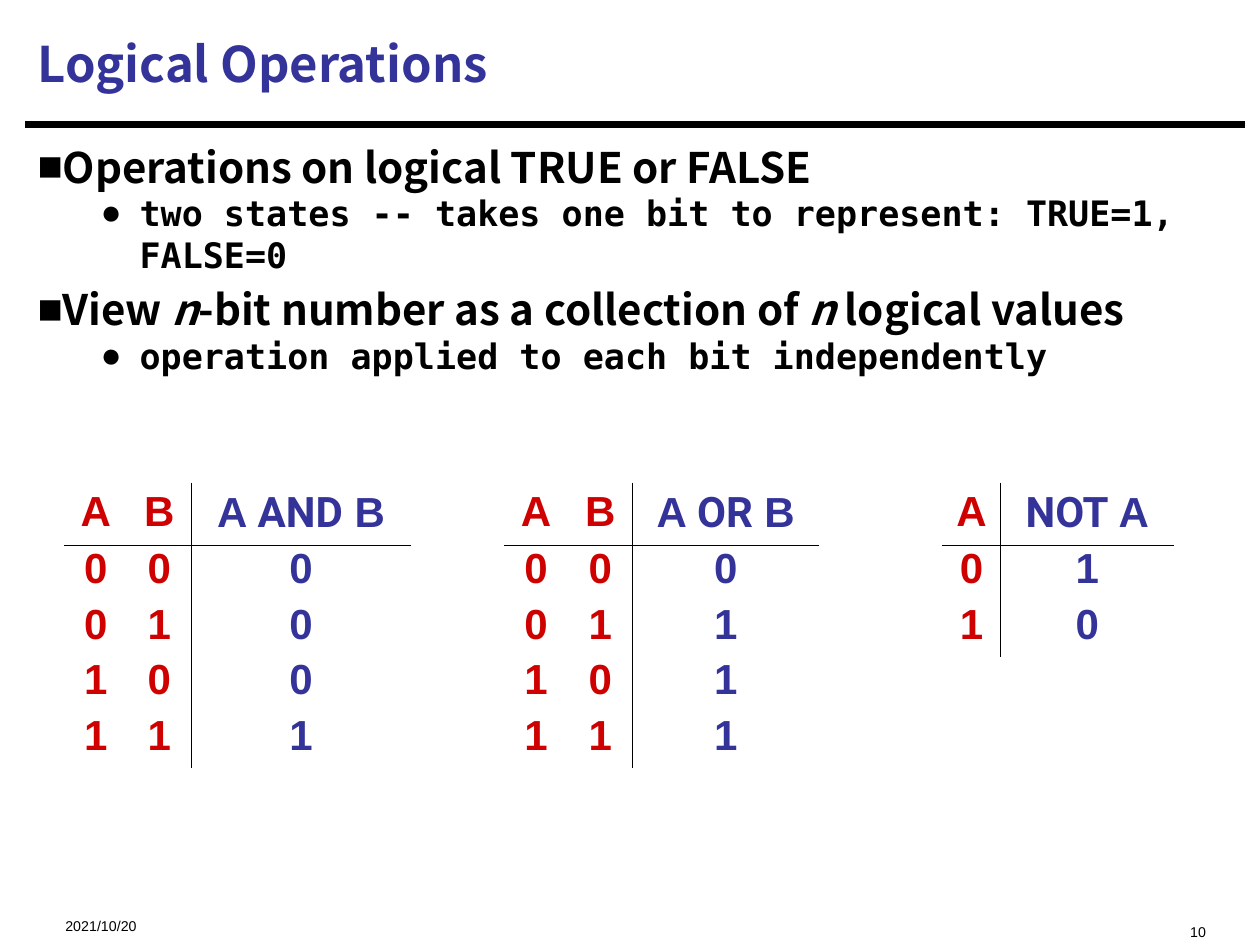
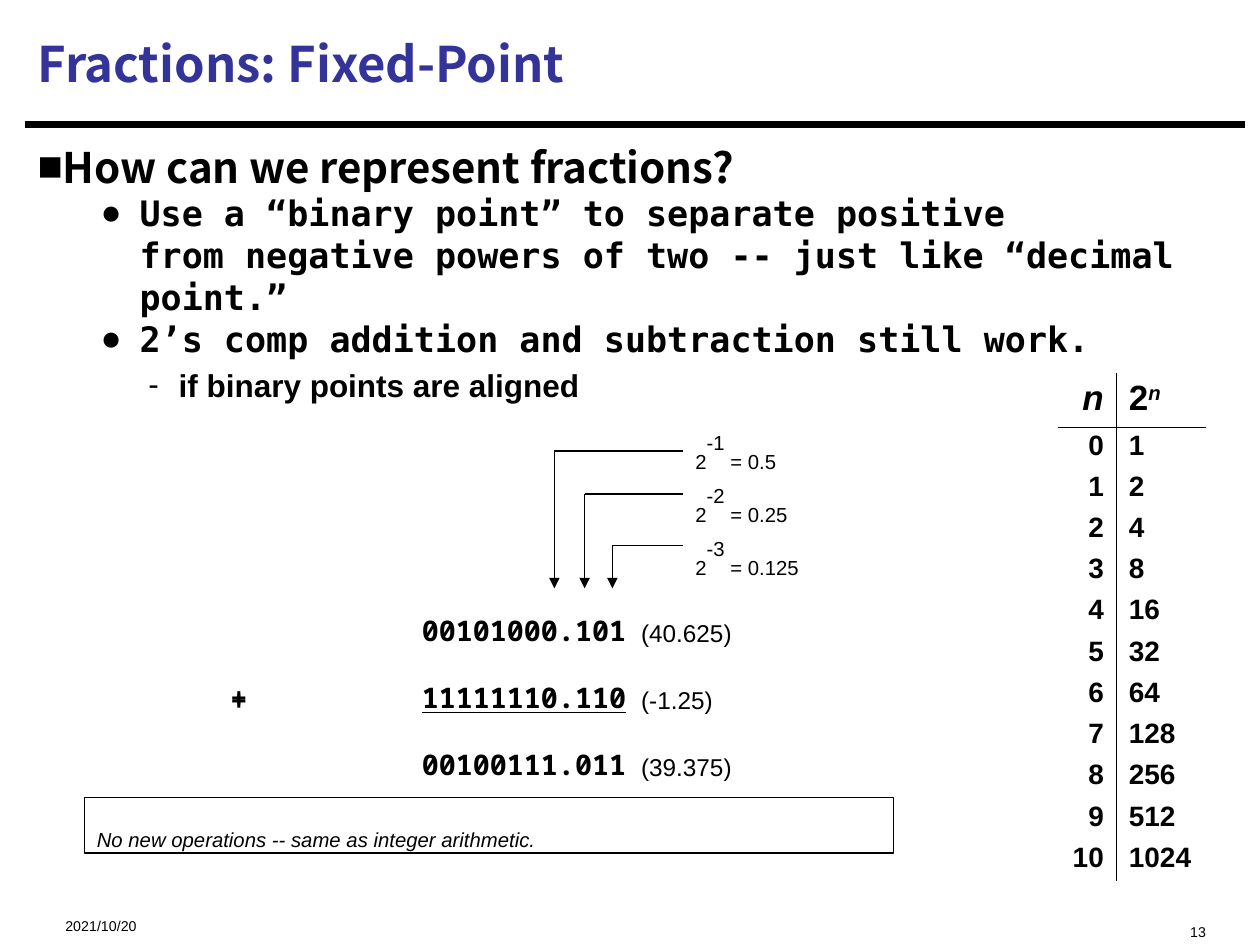
import lxml.etree
import pptx
import pptx.dml.color
import pptx.enum.shapes
import pptx.enum.text
import pptx.oxml.ns
import pptx.util

PX = 9144  # one px is a hundredth of an inch
qn = pptx.oxml.ns.qn
ALIGN = pptx.enum.text.PP_ALIGN
ANCHOR = pptx.enum.text.MSO_ANCHOR
STRAIGHT = pptx.enum.shapes.MSO_CONNECTOR.STRAIGHT

# Theme: colours and type styles; a negative baseline sets small, lowered text
BLACK, BLUE, RED = "000000", "333399", "CE0000"
LOWERED, RAISED = -25000, 30000
THEME = {
    "title": dict(name="Noto Sans CJK SC", size=28, bold=True, color=BLUE),
    "heading": dict(name="Noto Sans CJK SC", size=24, bold=True, color=BLACK),
    "point": dict(name="DejaVu Sans Mono", size=20, bold=True, color=BLACK),
    "detail": dict(name="Arial", size=18, bold=True, color=BLACK),
    "footer": dict(name="Arial", size=14, color=BLACK, baseline=LOWERED),
    "label": dict(name="Arial", size=20, color=BLACK, baseline=LOWERED),
    "digits": dict(name="Noto Sans Mono", size=28, bold=True, color=BLACK, baseline=LOWERED),
    "input": dict(name="Arial", size=24, bold=True, color=RED),
    "output": dict(name="Arial", size=24, bold=True, color=BLUE),
    "power": dict(name="Arial", size=16, bold=True, color=BLACK),
}
# Body levels: style, bullet, left margin, first-line indent, space before in points
LEVELS = [
    ("heading", "■", 0, 0, 4.8),
    ("point", "●", 81, -31, 0),
    ("detail", "-", 112, -24, 3.6),
]


def write(paragraph, runs, style):
    """Add runs, each a string or a (string, changed format values) pair."""
    for item in [runs] if isinstance(runs, str) else runs:
        text, changes = (item, {}) if isinstance(item, str) else item
        if text == "\n":
            paragraph.add_line_break()
            continue
        run = paragraph.add_run()
        run.text = text
        values = {**THEME[style], **changes}
        run.font.color.rgb = pptx.dml.color.RGBColor.from_string(values.pop("color"))
        if "baseline" in values:
            run.font._element.set("baseline", str(values.pop("baseline")))
        values["size"] = pptx.util.Pt(values["size"])
        for key, value in values.items():
            setattr(run.font, key, value)


def add_text(slide, box, runs, style, align=ALIGN.LEFT, anchor=ANCHOR.TOP, wrap=True):
    """Place a text box holding one written paragraph and return its frame."""
    frame = slide.shapes.add_textbox(*(length * PX for length in box)).text_frame
    frame.word_wrap = wrap
    frame.vertical_anchor = anchor
    frame.paragraphs[0].alignment = align
    write(frame.paragraphs[0], runs, style)
    return frame


presentation = pptx.Presentation()
presentation.slide_width, presentation.slide_height = 1000 * PX, 750 * PX

N = ("n", {"italic": True})
PAGES = [
    ("Logical Operations", "10", [
        (0, "Operations on logical TRUE or FALSE"),
        (1, "two states -- takes one bit to represent: TRUE=1, FALSE=0"),
        (0, ["View ", N, "-bit number as a collection of ", N, " logical values"]),
        (1, "operation applied to each bit independently"),
    ]),
    ("Fractions: Fixed-Point", "13", [
        (0, "How can we represent fractions?"),
        (1, ["Use a “binary point” to separate positive", "\n",
             "from negative powers of two -- just like “decimal point.”"]),
        (1, "2’s comp addition and subtraction still work."),
        (2, "if binary points are aligned"),
    ]),
]

# Shared frame of every slide: rule, footer, title, bulleted body
lines = []
for title, number, points in PAGES:
    slide = presentation.slides.add_slide(presentation.slide_layouts[6])
    rule = slide.shapes.add_connector(STRAIGHT, 20 * PX, 99 * PX, 988 * PX, 99 * PX)
    rule.line.width = pptx.util.Pt(3.75)
    lines.append(rule)
    add_text(slide, (42, 715, 250, 27), "2021/10/20", "footer", anchor=ANCHOR.MIDDLE)
    add_text(slide, (667, 715, 300, 27), number, "footer", align=ALIGN.RIGHT)
    add_text(slide, (20, 8, 967, 84), title, "title", anchor=ANCHOR.MIDDLE)
    body = add_text(slide, (20, 107, 967, 599), [], "heading")
    for index, (level, runs) in enumerate(points):
        style, bullet, margin, indent, before = LEVELS[level]
        paragraph = body.add_paragraph() if index else body.paragraphs[0]
        paragraph.level = level
        properties = paragraph._p.get_or_add_pPr()
        properties.set("marL", str(margin * PX))
        properties.set("indent", str(indent * PX))
        lxml.etree.SubElement(properties, qn("a:buFont")).set("typeface", "Arial")
        lxml.etree.SubElement(properties, qn("a:buChar")).set("char", bullet)
        paragraph.space_before = pptx.util.Pt(before if index else 0)
        write(paragraph, runs, style)

logic_slide, fraction_slide = presentation.slides

# Truth tables and the table of powers: header height, height of all other rows
C, R, L = ALIGN.CENTER, ALIGN.RIGHT, ALIGN.LEFT
roboto = {"name": "Roboto"}
bits = [(a, b) for a in (0, 1) for b in (0, 1)]
truth_look = (50, 176, ("input", "input", "output"), (C, C, C))
not_look = (50, 88, ("input", "output"), (C, C))
power_look = (43, 360, ("power", "power"), (R, L))
large = {"size": 20}
large_n = {"size": 20, "italic": True}
TABLES = [
    (logic_slide, 51, 383, (50, 51, 174), truth_look,
     ["A", "B", ["A ", ("AND", roboto), " B"]], [(a, b, a & b) for a, b in bits]),
    (logic_slide, 400, 383, (51, 51, 148), truth_look,
     ["A", "B", ["A ", ("OR", roboto), " B"]], [(a, b, a | b) for a, b in bits]),
    (logic_slide, 748, 383, (46, 138), not_look,
     ["A", [("NOT", roboto), " A"]], [(a, 1 - a) for a in (0, 1)]),
    (fraction_slide, 840, 296, (46, 71), power_look,
     [[("n", large_n)], [("2", large), ("n", {**large_n, "baseline": RAISED})]],
     [(n, 2 ** n) for n in range(11)]),
]
for slide, left, top, widths, look, header, rows in TABLES:
    header_height, rows_height, styles, alignments = look
    table = slide.shapes.add_table(
        len(rows) + 1, len(widths), left * PX, top * PX,
        sum(widths) * PX, (header_height + rows_height) * PX).table
    table.first_row = table.horz_banding = False
    for column, width in zip(table.columns, widths):
        column.width = width * PX
    for index, row in enumerate(table.rows):
        row.height = rows_height * PX // len(rows) if index else header_height * PX
    last = len(widths) - 1
    for row, values in enumerate([header] + rows):
        for column, value in enumerate(values):
            cell = table.cell(row, column)
            paragraph = cell.text_frame.paragraphs[0]
            paragraph.alignment = alignments[column]
            if row:
                paragraph.line_spacing = 0.85
            write(paragraph, str(value) if row else value, styles[column])
            # Only the header's underside and the result column's left side are ruled
            edges = {"L": column == last, "R": column == last - 1,
                     "T": row == 1, "B": row == 0}
            properties = cell._tc.get_or_add_tcPr()
            for side, ruled in edges.items():
                edge = lxml.etree.SubElement(properties, qn("a:ln" + side))
                edge.set("w", str(pptx.util.Pt(1)))
                paint = lxml.etree.SubElement(edge, qn("a:solidFill" if ruled else "a:noFill"))
                if ruled:
                    lxml.etree.SubElement(paint, qn("a:srgbClr")).set("val", BLACK)
            cell.fill.background()

# Place values, each with an elbow leading to its bit
PLACES = [("-1", " = 0.5", 333, 122, 440, 358),
          ("-2", " = 0.25", 375, 137, 464, 392),
          ("-3", " = 0.125", 417, 153, 486, 433)]
for power, value, top, width, bit_x, elbow_y in PLACES:
    add_text(fraction_slide, (542, top, width, 43),
             ["2", (power, {"baseline": RAISED}), value], "label", wrap=False)
    for start_x, end_y in ((542, elbow_y), (bit_x, 467)):
        line = fraction_slide.shapes.add_connector(
            STRAIGHT, start_x * PX, elbow_y * PX, bit_x * PX, end_y * PX)
        line.line.width = pptx.util.Pt(0.75)
        lines.append(line)
    arrowhead = lxml.etree.SubElement(line.line._get_or_add_ln(), qn("a:tailEnd"))
    arrowhead.set("type", "triangle")

# Connectors: black, without shadow
for line in lines:
    line.line.color.rgb = pptx.dml.color.RGBColor.from_string(BLACK)
    lxml.etree.SubElement(line._element.spPr, qn("a:effectLst"))

# Note below the sum
note = fraction_slide.shapes.add_shape(
    pptx.enum.shapes.MSO_SHAPE.RECTANGLE, 67 * PX, 633 * PX, 642 * PX, 44 * PX)
note.shadow.inherit = False
note.fill.background()
note.line.color.rgb = pptx.dml.color.RGBColor.from_string(BLACK)
note.line.width = pptx.util.Pt(0.75)
note.text_frame.vertical_anchor = ANCHOR.TOP
note.text_frame.paragraphs[0].alignment = ALIGN.LEFT
write(note.text_frame.paragraphs[0],
      [("No new operations -- same as integer arithmetic.", {"italic": True})], "label")

# Binary sum: decimal values in one box, binary digits in the other
plain = {"name": "Arial", "size": 24, "bold": False}
SUM_BOXES = [
    (458, [["\t\t\t", ("(40.625)", plain)],
           ["\t+\t\t", ("(-1.25)", plain)],
           ["\t\t\t", ("(39.375)", plain)]]),
    (456, [["\t\t00101000.101"],
           ["\t+\t", ("11111110.110", {"underline": True})],
           ["\t\t00100111.011"]]),
]
for top, sum_rows in SUM_BOXES:
    frame = add_text(fraction_slide, (125, top, 783, 150), [], "digits")
    for index, runs in enumerate(sum_rows):
        paragraph = frame.add_paragraph() if index else frame.paragraphs[0]
        tabs = lxml.etree.SubElement(paragraph._p.get_or_add_pPr(), qn("a:tabLst"))
        for position in (48, 200, 374):
            tab = lxml.etree.SubElement(tabs, qn("a:tab"))
            tab.set("pos", str(position * PX))
            tab.set("algn", "l")
        write(paragraph, runs, "digits")

presentation.save("out.pptx")
